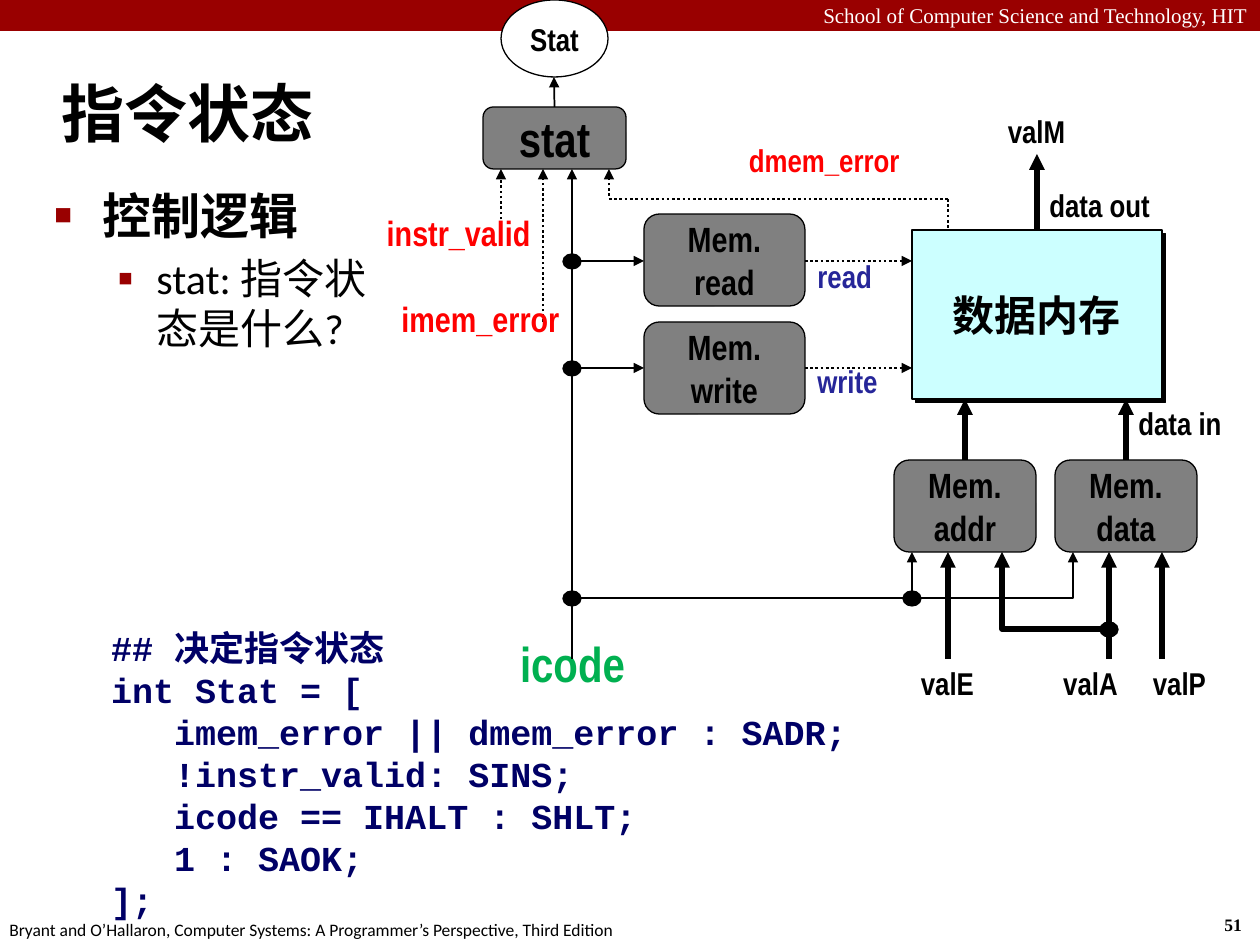
from lxml.etree import SubElement
from pptx import Presentation
from pptx.dml.color import RGBColor
from pptx.enum.dml import MSO_LINE
from pptx.enum.shapes import MSO_CONNECTOR, MSO_SHAPE
from pptx.enum.text import MSO_ANCHOR, MSO_AUTO_SIZE, PP_ALIGN
from pptx.oxml.ns import qn
from pptx.util import Pt

PIXEL = 914400 / 126
NARROW = "Arial Narrow"
DARK_RED, RED, BLUE = "990000", "FF0000", "262699"
TOP, LEFT = 0, 1


def px(value):
    return round(value * PIXEL)


def color(hex_text):
    return RGBColor.from_string(hex_text)


def write_text(shape, text, size=18, font=NARROW, ink="000000", bold=True,
               align=PP_ALIGN.LEFT, anchor=MSO_ANCHOR.TOP, wrap=True, inset=None):
    """Write one paragraph per line of text, all in one format."""
    frame = shape.text_frame
    frame.auto_size = MSO_AUTO_SIZE.NONE
    frame.word_wrap = wrap
    frame.vertical_anchor = anchor
    if inset is not None:
        frame.margin_left = frame.margin_right = px(inset)
        frame.margin_top = frame.margin_bottom = px(inset)
    for index, line in enumerate(text.split("\n")):
        paragraph = frame.add_paragraph() if index else frame.paragraphs[0]
        paragraph.alignment = align
        run = paragraph.add_run()
        run.text = line
        run.font.name = font
        run.font.size = Pt(size)
        run.font.bold = bold
        run.font.color.rgb = color(ink)


def add_text(slide, box, text, **style):
    shape = slide.shapes.add_textbox(*map(px, box))
    write_text(shape, text, **style)
    return shape


def add_block(slide, kind, box, fill=None, outline=None, text="", **style):
    shape = slide.shapes.add_shape(kind, *map(px, box))
    shape.shadow.inherit = False
    if fill:
        shape.fill.solid()
        shape.fill.fore_color.rgb = color(fill)
    else:
        shape.fill.background()
    if outline:
        shape.line.color.rgb = color(outline)
        shape.line.width = Pt(0.75)
    else:
        shape.line.fill.background()
    if text:
        write_text(shape, text, align=PP_ALIGN.CENTER, anchor=MSO_ANCHOR.MIDDLE,
                   wrap=False, **style)
    return shape


def add_logic(slide, box, text, size=20):
    return add_block(slide, MSO_SHAPE.ROUNDED_RECTANGLE, box, "808080", "000000",
                     text, size=size)


def add_signal(slide, left, top, text, fill=None, outline=None, **style):
    add_block(slide, MSO_SHAPE.OVAL, (left, top, 107, 77), fill, outline,
              text, **style)


def add_junction(slide, x, y):
    add_block(slide, MSO_SHAPE.OVAL, (x - 9, y - 7, 18, 15), "000000", "000000")


def style_line(shape, width, dotted, arrow):
    line = shape.line
    line.color.rgb = color("000000")
    line.width = Pt(width)
    if dotted:
        line.dash_style = MSO_LINE.ROUND_DOT
    if arrow:
        outline = shape._element.spPr.find(qn("a:ln"))
        SubElement(outline, qn("a:tailEnd"), type="triangle")


def add_wire(slide, start, end, width=1, dotted=False, arrow=True,
             source=None, target=None):
    """Draw a straight wire; source and target are (shape, side) pairs."""
    wire = slide.shapes.add_connector(MSO_CONNECTOR.STRAIGHT,
                                      *map(px, start + end))
    if source:
        wire.begin_connect(*source)
    if target:
        wire.end_connect(*target)
    style_line(wire, width, dotted, arrow)
    SubElement(wire._element.spPr, qn("a:effectLst"))


def add_bent_wire(slide, points, width=1):
    corners = [(px(x), px(y)) for x, y in points]
    builder = slide.shapes.build_freeform(*corners[0], scale=1.0)
    builder.add_line_segments(corners[1:], close=False)
    wire = builder.convert_to_shape()
    wire.fill.background()
    wire.shadow.inherit = False
    style_line(wire, width, dotted=False, arrow=True)


def add_bullet(paragraph, character, scale, margin, hanging):
    paragraph.space_before = Pt(paragraph.runs[0].font.size.pt * 0.2)
    properties = paragraph._p.get_or_add_pPr()
    properties.set("marL", str(px(margin)))
    properties.set("indent", str(-px(hanging)))
    bullet_color = SubElement(properties, qn("a:buClr"))
    SubElement(bullet_color, qn("a:srgbClr"), val=DARK_RED)
    SubElement(properties, qn("a:buSzPct"), val=str(scale * 1000))
    SubElement(properties, qn("a:buFont"), typeface="Arial")
    SubElement(properties, qn("a:buChar"), char=character)


def add_hard_shadow(shape):
    effects = shape._element.spPr.find(qn("a:effectLst"))
    shadow = SubElement(effects, qn("a:outerShdw"), blurRad="0", dist=str(int(Pt(2.8))),
                        dir="2700000", algn="ctr", rotWithShape="0")
    SubElement(shadow, qn("a:srgbClr"), val="000000")


def add_frame(slide):
    add_block(slide, MSO_SHAPE.RECTANGLE, (0, 0, 1260, 31), DARK_RED)
    add_text(slide, (0, -4, 1260, 38), "School of Computer Science and Technology, HIT",
             size=12, font="Times New Roman", ink="FFFFFF", bold=False,
             align=PP_ALIGN.RIGHT)
    add_text(slide, (1212, 908, 47, 34), "51", size=10, font="Times New Roman",
             wrap=False)
    add_text(slide, (-3, 913, 640, 34),
             "Bryant and O’Hallaron, Computer Systems: A Programmer’s Perspective, "
             "Third Edition", size=10, font="Calibri", bold=False, wrap=False)


def add_content(slide):
    title = slide.shapes.title
    title.left, title.top, title.width, title.height = map(px, (49, 60, 1211, 105))
    write_text(title, "指令状态", size=36, font="Calibri", anchor=MSO_ANCHOR.MIDDLE)

    body = add_text(slide, (42, 179, 355, 348), "控制逻辑\nstat: 指令状态是什么?",
                    size=28, font="Calibri")
    heading, detail = body.text_frame.paragraphs
    detail.level = 1
    detail.runs[0].font.size = Pt(24)
    detail.runs[0].font.bold = False
    add_bullet(heading, "■", 60, 48, 48)
    add_bullet(detail, "▪", 110, 102, 39)

    code = ["## 决定指令状态", "int Stat = [",
            "\timem_error || dmem_error : SADR;", "\t!instr_valid: SINS;",
            "\ticode == IHALT : SHLT;", "\t1 : SAOK;", "];"]
    add_text(slide, (105, 620, 1104, 310), "\n".join(code), size=20,
             font="Courier New", ink="000066", inset=6)


def add_diagram(slide):
    # Blocks
    memory = add_block(slide, MSO_SHAPE.RECTANGLE, (912, 230, 250, 169), "CCFFFF",
                       "000000", "数据内存", size=24)
    add_hard_shadow(memory)
    add_logic(slide, (644, 214, 161, 92), "Mem.\nread")
    mem_write = add_logic(slide, (644, 322, 161, 92), "Mem.\nwrite")
    mem_addr = add_logic(slide, (894, 460, 142, 92), "Mem.\naddr")
    mem_data = add_logic(slide, (1055, 460, 142, 92), "Mem.\ndata")
    stat = add_logic(slide, (483, 107, 143, 62), "stat", size=28)

    # Named signals
    add_signal(slide, 501, 0, "Stat", "FFFFFF", "000000")
    for left, top, name in [(894, 644, "valE"), (983, 92, "valM"),
                            (1037, 644, "valA"), (1126, 644, "valP")]:
        add_signal(slide, left, top, name)
    add_signal(slide, 519, 624, "icode", size=28, ink="00B050")

    # Thick data wires
    for x in (948, 1109, 1162):
        add_wire(slide, (x, 659), (x, 552), 3)
    for block, x in [(mem_addr, 965), (mem_data, 1126)]:
        add_wire(slide, (x, 460), (x, 399), 3, source=(block, TOP))
    add_wire(slide, (1037, 230), (1037, 154), 3, source=(memory, TOP))
    add_bent_wire(slide, [(1109, 629), (1002, 629), (1002, 552)], 3)

    # Thin icode wires
    add_bent_wire(slide, [(572, 659), (572, 261), (644, 261)])
    add_bent_wire(slide, [(572, 598), (1073, 598), (1073, 552)])
    add_wire(slide, (572, 368), (644, 368), target=(mem_write, LEFT))
    add_wire(slide, (912, 598), (912, 552))
    add_wire(slide, (572, 261), (572, 169))
    add_wire(slide, (554, 107), (554, 77), source=(stat, TOP))

    # Dotted control wires
    for y in (261, 368):
        add_wire(slide, (805, y), (912, y), 1.5, dotted=True)
    for x, y in [(501, 230), (543, 322), (609, 196)]:
        add_wire(slide, (x, y), (x, 169), 1.5, dotted=True)
    add_wire(slide, (609, 199), (948, 199), 1.5, dotted=True, arrow=False)
    add_wire(slide, (948, 199), (948, 230), 1.5, dotted=True, arrow=False)

    # Junctions
    for x, y in [(572, 261), (572, 368), (572, 598), (912, 598), (1109, 629)]:
        add_junction(slide, x, y)

    # Wire labels
    for box, name, ink in [((805, 251, 142, 60), "read", BLUE),
                           ((805, 356, 125, 60), "write", BLUE),
                           ((1037, 180, 179, 60), "data out", "000000"),
                           ((1126, 398, 179, 60), "data in", "000000")]:
        add_text(slide, box, name, ink=ink)
    for box, name, size in [((626, 135, 286, 60), "dmem_error", 18),
                            ((322, 205, 221, 66), "instr_valid", 20),
                            ((340, 291, 232, 66), "imem_error", 20)]:
        add_text(slide, box, name, size=size, ink=RED, align=PP_ALIGN.RIGHT)


def main():
    presentation = Presentation()
    presentation.slide_width = px(1260)
    presentation.slide_height = px(945)
    slide = presentation.slides.add_slide(presentation.slide_layouts[5])
    add_frame(slide)
    add_content(slide)
    add_diagram(slide)
    presentation.save("out.pptx")


if __name__ == "__main__":
    main()
